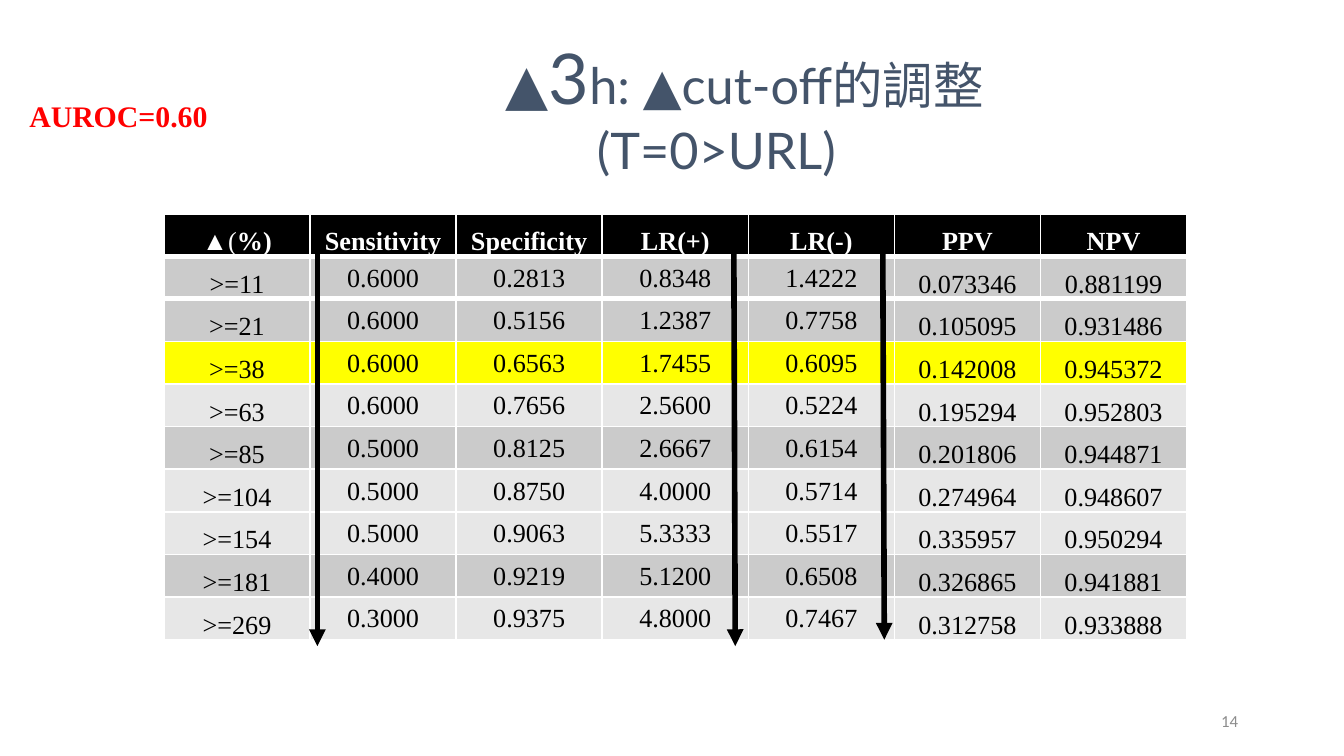
from dataclasses import dataclass

from lxml.etree import SubElement
from pptx import Presentation
from pptx.dml.color import RGBColor as RGB
from pptx.enum.shapes import MSO_CONNECTOR as Connector
from pptx.enum.text import MSO_ANCHOR as Anchor, MSO_AUTO_SIZE as AutoSize, PP_ALIGN as Align
from pptx.oxml.ns import qn
from pptx.util import Inches, Pt


@dataclass(frozen=True)
class Theme:
    title_font: str = "Lato"
    table_font: str = "Times New Roman"
    number_font: str = "Calibri"
    title: str = "44546A"
    note: str = "FF0000"
    number: str = "8C8C8C"
    black: str = "000000"
    white: str = "FFFFFF"
    dark_band: str = "CBCBCB"
    light_band: str = "E7E7E7"
    highlight: str = "FFFF00"
    title_size: float = 27
    table_size: float = 14
    note_size: float = 16
    number_size: float = 9
    thin: float = 1
    thick: float = 3


THEME = Theme()
WIDTH = 10
HEIGHT = WIDTH * 9 / 16

# Each title line: left indent, then its (text, size) spans
TITLE_LINES = [
    (0.42, [("▲", 30), ("3", 37.5), ("h: ▲cut-off的調整", THEME.title_size)]),
    (0, [("(T=0>URL)", THEME.title_size)]),
]
NOTE = "AUROC=0.60"
PAGE_NUMBER = "14"

HEADER = ["▲(%)", "Sensitivity", "Specificity", "LR(+)", "LR(-)", "PPV", "NPV"]
DARK, LIGHT, BEST = THEME.dark_band, THEME.light_band, THEME.highlight
CUTOFFS = [
    (DARK, ">=11", "0.6000", "0.2813", "0.8348", "1.4222", "0.073346", "0.881199"),
    (DARK, ">=21", "0.6000", "0.5156", "1.2387", "0.7758", "0.105095", "0.931486"),
    (BEST, ">=38", "0.6000", "0.6563", "1.7455", "0.6095", "0.142008", "0.945372"),
    (LIGHT, ">=63", "0.6000", "0.7656", "2.5600", "0.5224", "0.195294", "0.952803"),
    (DARK, ">=85", "0.5000", "0.8125", "2.6667", "0.6154", "0.201806", "0.944871"),
    (LIGHT, ">=104", "0.5000", "0.8750", "4.0000", "0.5714", "0.274964", "0.948607"),
    (LIGHT, ">=154", "0.5000", "0.9063", "5.3333", "0.5517", "0.335957", "0.950294"),
    (DARK, ">=181", "0.4000", "0.9219", "5.1200", "0.6508", "0.326865", "0.941881"),
    (LIGHT, ">=269", "0.3000", "0.9375", "4.8000", "0.7467", "0.312758", "0.933888"),
]
ROWS = [(THEME.black, *HEADER), *CUTOFFS]
MIDDLE_COLUMNS = range(1, 5)
THICK_RULES = (1, 2)

TABLE_LEFT, TABLE_TOP, TABLE_WIDTH, TABLE_HEIGHT = 1.22, 1.59, 7.61, 3.17
COLUMN = TABLE_WIDTH / len(HEADER)
ROW = TABLE_HEIGHT / len(ROWS)

# Trend arrows in table units: (column, row) of the start, then of the end
ARROWS = [
    ((1.05, 0.7), (1.05, 10.15)),
    ((3.9, 0.54), (3.91, 10.15)),
    ((4.92, 0.95), (4.93, 10)),
]


def style(font, name, size, color, bold=False):
    font.name, font.size, font.bold = name, Pt(size), bold
    font.color.rgb = RGB.from_string(color)


def add_title(slide):
    title = slide.shapes.title
    title.left, title.top = Inches(1.93), Inches(0.25)
    title.width, title.height = Inches(6.8), Inches(1.09)
    frame = title.text_frame
    frame.auto_size = AutoSize.NONE
    frame.vertical_anchor = Anchor.MIDDLE
    for index, (indent, spans) in enumerate(TITLE_LINES):
        para = frame.add_paragraph() if index else frame.paragraphs[0]
        para.alignment = Align.CENTER
        para._p.get_or_add_pPr().set("marL", str(Inches(indent)))
        for text, size in spans:
            span = para.add_run()
            span.text = text
            style(span.font, THEME.title_font, size, THEME.title)


def add_label(slide, text, place, align, anchor, *look):
    box = slide.shapes.add_textbox(*map(Inches, place))
    frame = box.text_frame
    frame.word_wrap = True
    frame.vertical_anchor = anchor
    para = frame.paragraphs[0]
    para.text, para.alignment = text, align
    style(para.font, *look)


def add_borders(cell, top, bottom):
    properties = cell._tc.get_or_add_tcPr()
    widths = {"L": THEME.thin, "R": THEME.thin, "T": top, "B": bottom}
    for side, width in widths.items():
        line = SubElement(properties, qn(f"a:ln{side}"), w=str(Pt(width)))
        fill = SubElement(line, qn("a:solidFill"))
        SubElement(fill, qn("a:srgbClr"), val=THEME.white)


def rule_width(row):
    """Width of the horizontal rule above a row."""
    return THEME.thick if row in THICK_RULES else THEME.thin


def fill_cell(cell, text, fill, row, column):
    header = row == 0
    add_borders(cell, rule_width(row), rule_width(row + 1))
    cell.fill.solid()
    cell.fill.fore_color.rgb = RGB.from_string(fill)
    cell.margin_left = cell.margin_right = cell.margin_top = Inches(0.01)
    cell.margin_bottom = 0
    centred = not header and column in MIDDLE_COLUMNS
    cell.vertical_anchor = Anchor.MIDDLE if centred else Anchor.BOTTOM
    para = cell.text_frame.paragraphs[0]
    para.alignment = Align.CENTER
    color = THEME.white if header else THEME.black
    # The opening "▲(" of the first header is the only regular header text
    parts = [("▲(", False), ("%)", True)] if text == HEADER[0] else [(text, header)]
    for part, bold in parts:
        span = para.add_run()
        span.text = part
        style(span.font, THEME.table_font, THEME.table_size, color, bold)


def add_cutoff_table(slide):
    place = map(Inches, (TABLE_LEFT, TABLE_TOP, TABLE_WIDTH, TABLE_HEIGHT))
    table = slide.shapes.add_table(len(ROWS), len(HEADER), *place).table
    for row, (fill, *values) in enumerate(ROWS):
        table.rows[row].height = Inches(ROW)
        for column, text in enumerate(values):
            fill_cell(table.cell(row, column), text, fill, row, column)


def add_arrow(slide, start, end):
    points = [
        Inches(length)
        for column, row in (start, end)
        for length in (TABLE_LEFT + column * COLUMN, TABLE_TOP + row * ROW)
    ]
    arrow = slide.shapes.add_connector(Connector.STRAIGHT, *points)
    arrow.line.width = Pt(THEME.thick)
    arrow.line.color.rgb = RGB.from_string(THEME.black)
    properties = arrow._element.spPr
    SubElement(properties.find(qn("a:ln")), qn("a:tailEnd"), type="triangle")
    SubElement(properties, qn("a:effectLst"))


def main():
    deck = Presentation()
    deck.slide_width, deck.slide_height = Inches(WIDTH), Inches(HEIGHT)
    slide = deck.slides.add_slide(deck.slide_layouts[5])
    add_title(slide)
    add_label(slide, PAGE_NUMBER, (7.06, 5.21, 2.25, 0.3), Align.RIGHT, Anchor.MIDDLE,
              THEME.number_font, THEME.number_size, THEME.number)
    add_cutoff_table(slide)
    for start, end in ARROWS:
        add_arrow(slide, start, end)
    add_label(slide, NOTE, (0.12, 0.68, 1.64, 0.37), Align.LEFT, Anchor.TOP,
              THEME.table_font, THEME.note_size, THEME.note, True)
    deck.save("out.pptx")


if __name__ == "__main__":
    main()
